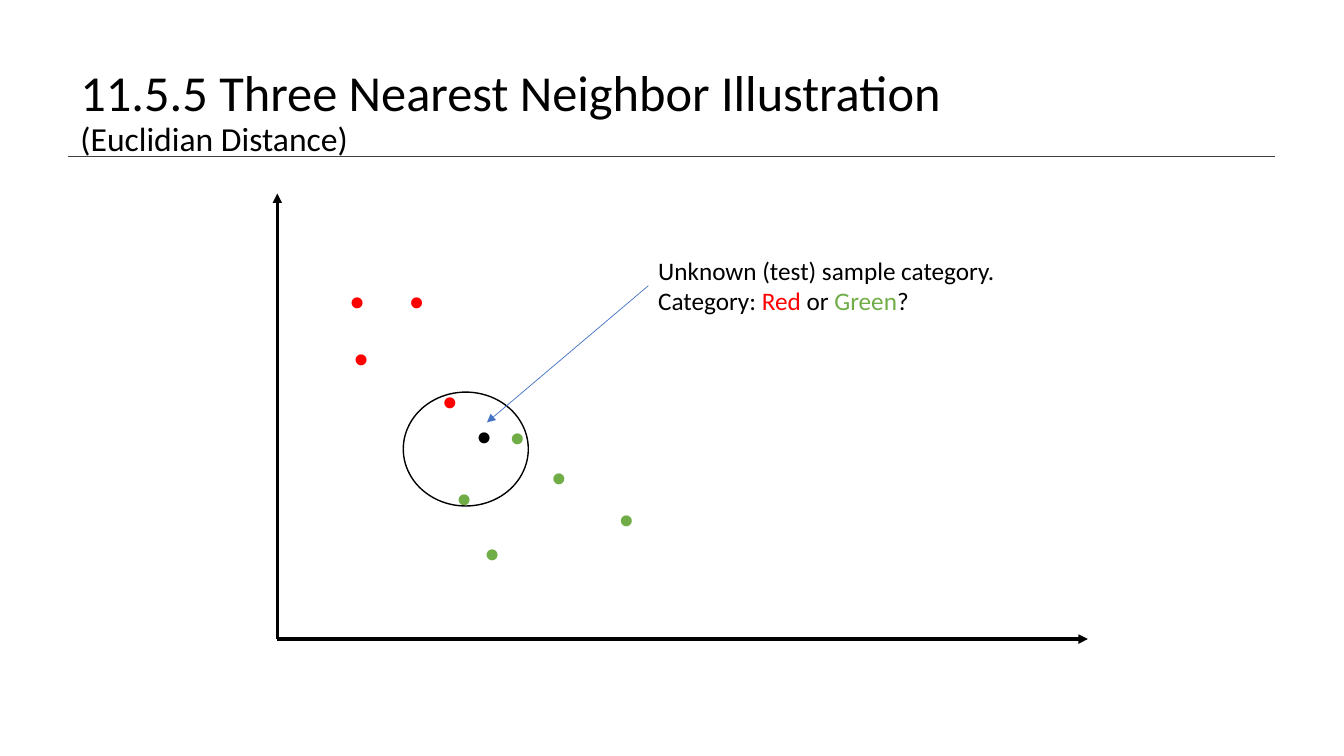
from collections import namedtuple
from dataclasses import dataclass

from lxml.etree import SubElement
from pptx import Presentation
from pptx.dml.color import RGBColor
from pptx.enum.shapes import MSO_CONNECTOR, MSO_SHAPE
from pptx.enum.text import MSO_ANCHOR, MSO_AUTO_SIZE
from pptx.oxml.ns import qn
from pptx.util import Inches, Pt

Box = namedtuple("Box", "left top width height")


@dataclass(frozen=True)
class Theme:
    black: str = "000000"
    red: str = "FF0000"
    green: str = "70AD47"
    blue: str = "4472C4"
    rule: str = "404040"
    body_font: str = "Calibri"
    dot_font: str = "Times New Roman"
    title_size: float = 36
    subtitle_size: float = 24
    note_size: float = 18
    dot_size: float = 66
    axis_width: float = 2.25
    outline_width: float = 1
    pointer_width: float = 0.5


THEME = Theme()
DOT_WIDTH, DOT_HEIGHT = 0.43, 1.21
SAMPLES = {
    THEME.red: [(0.62, 0.73), (0.58, 0.16), (1.5, 1.16), (1.17, 0.16)],
    THEME.green: [(1.64, 2.12), (2.58, 1.91), (1.92, 2.66), (3.25, 2.33), (2.17, 1.51)],
    THEME.black: [(1.84, 1.5)],
}


def apply_format(target, values):
    for name, value in values.items():
        setattr(target, name, value)


def add_run(paragraph, text, size, color=THEME.black, font=THEME.body_font):
    run = paragraph.add_run()
    run.text = text
    apply_format(run.font, {"name": font, "size": Pt(size)})
    run.font.color.rgb = RGBColor.from_string(color)


def add_frame(slide, box, **frame_format):
    frame = slide.shapes.add_textbox(*map(Inches, box)).text_frame
    apply_format(frame, {"word_wrap": True, **frame_format})
    return frame


def add_line(slide, start, end, color, width, arrow=False):
    connector = slide.shapes.add_connector(
        MSO_CONNECTOR.STRAIGHT, *map(Inches, (*start, *end)))
    connector.line.color.rgb = RGBColor.from_string(color)
    connector.line.width = Pt(width)
    properties = connector.line._get_or_add_ln()
    if arrow:
        SubElement(properties, qn("a:tailEnd"), type="triangle")
    SubElement(properties.getparent(), qn("a:effectLst"))


def add_heading(slide, box):
    rule_y = box.top + 1.15
    add_line(slide, (box.left - 0.03, rule_y), (box.left + 11.95, rule_y),
             THEME.rule, THEME.outline_width)
    frame = add_frame(slide, box, vertical_anchor=MSO_ANCHOR.MIDDLE)
    heading = frame.paragraphs[0]
    heading.line_spacing = 0.9
    add_run(heading, "11.5.5 Three Nearest Neighbor Illustration", THEME.title_size)
    heading.add_line_break()
    add_run(heading, "(Euclidian Distance)", THEME.subtitle_size)


def add_scatter(slide, box):
    origin = (box.left, box.top + box.height)
    for axis_end in ((box.left, box.top), (box.left + box.width, origin[1])):
        add_line(slide, origin, axis_end, THEME.black, THEME.axis_width, arrow=True)
    for color, offsets in SAMPLES.items():
        for across, down in offsets:
            dot_box = Box(box.left + across, box.top + down, DOT_WIDTH, DOT_HEIGHT)
            dot = add_frame(slide, dot_box, word_wrap=False,
                            auto_size=MSO_AUTO_SIZE.SHAPE_TO_FIT_TEXT)
            add_run(dot.paragraphs[0], ".", THEME.dot_size, color, THEME.dot_font)
    neighborhood = slide.shapes.add_shape(
        MSO_SHAPE.OVAL,
        *map(Inches, (box.left + 1.25, box.top + 1.97, 1.24, 1.13)))
    neighborhood.shadow.inherit = False
    neighborhood.fill.background()
    neighborhood.line.color.rgb = RGBColor.from_string(THEME.black)
    neighborhood.line.width = Pt(THEME.outline_width)


def add_question(slide, box, unknown_sample):
    question = add_frame(slide, box, auto_size=MSO_AUTO_SIZE.SHAPE_TO_FIT_TEXT)
    add_run(question.paragraphs[0], "Unknown (test) sample category.", THEME.note_size)
    choices = question.add_paragraph()
    for text, color in (("Category: ", THEME.black), ("Red", THEME.red),
                        (" or ", THEME.black), ("Green", THEME.green),
                        ("?", THEME.black)):
        add_run(choices, text, THEME.note_size, color)
    add_line(slide, (box.left, box.top + box.height / 2), unknown_sample,
             THEME.blue, THEME.pointer_width, arrow=True)


def main():
    presentation = Presentation()
    apply_format(presentation, {"slide_width": Inches(13.33),
                                "slide_height": Inches(7.5)})
    slide = presentation.slides.add_slide(presentation.slide_layouts[6])
    add_heading(slide, Box(0.7, 0.4, 12.36, 1.45))
    add_scatter(slide, Box(2.75, 1.92, 8.04, 4.42))
    add_question(slide, Box(6.43, 2.48, 3.94, 0.71), unknown_sample=(4.83, 4.19))
    presentation.save("out.pptx")


if __name__ == "__main__":
    main()
